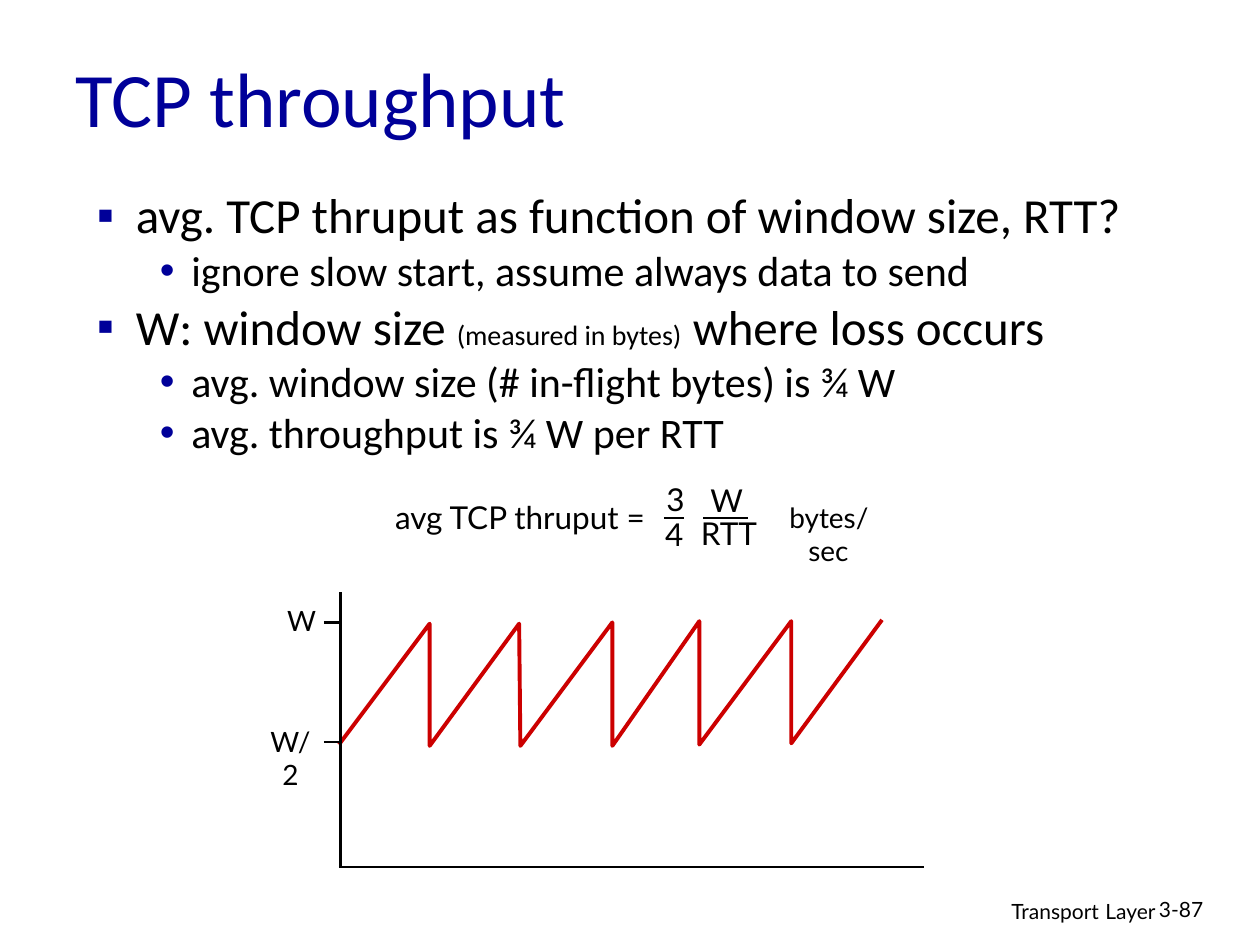
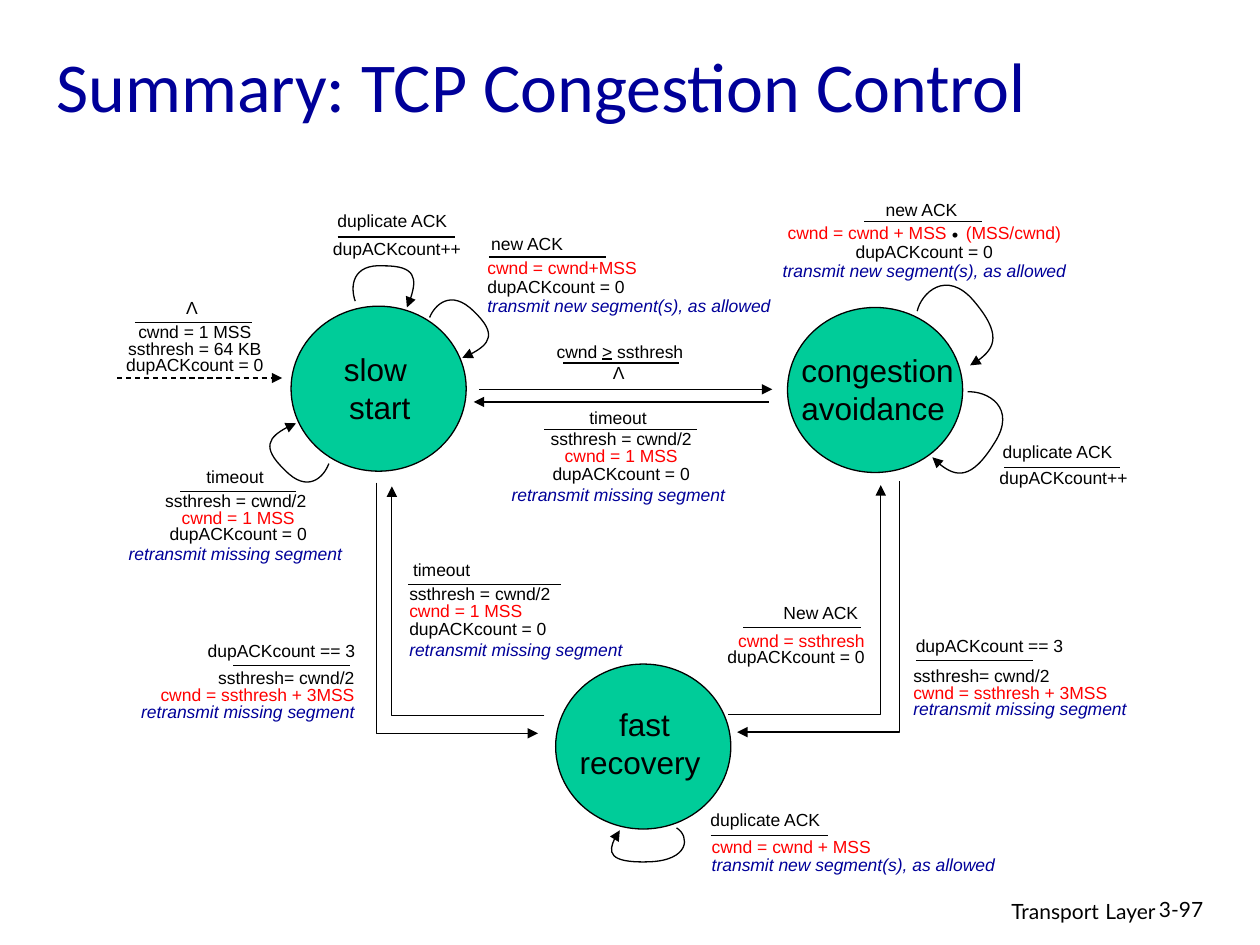
import lxml.etree
import pptx
import pptx.dml.color
import pptx.enum.dml
import pptx.enum.shapes
import pptx.enum.text
import pptx.oxml.ns
import pptx.util

BLACK = pptx.dml.color.RGBColor(0, 0, 0)
BLUE = pptx.dml.color.RGBColor(0, 0, 0x99)
RED = pptx.dml.color.RGBColor(0xFF, 0, 0)
CRIMSON = pptx.dml.color.RGBColor(0xCC, 0, 0)
GREEN = pptx.dml.color.RGBColor(0, 0xCC, 0x99)
LEFT = pptx.enum.text.PP_ALIGN.LEFT
MID = pptx.enum.text.PP_ALIGN.CENTER
RIGHT = pptx.enum.text.PP_ALIGN.RIGHT
INCH = 2.54


def cm(inches):
    return pptx.util.Cm(inches * INCH)


def run(text, color=BLACK, size=10, slant=False, gap=0):
    return text, color, size, slant, gap


HALF = [run("ssthresh = cwnd/2")]
HALVE = [run("ssthresh= cwnd/2")]
RESET = [run("cwnd = 1 MSS", RED)]
ZERO = [run("dupACKcount = 0")]
COUNT = [run("dupACKcount++")]
SEND = [run("transmit new segment(s), as allowed", BLUE, slant=True)]
RETRY = [run("retransmit missing segment", BLUE, slant=True)]
TRIPLE = [HALVE, [run("cwnd = ssthresh + 3MSS", RED)], RETRY]
LOSS = [HALF, RESET, ZERO, RETRY + [run(" ", size=12)]]
LAMBDA = [run("Λ")]


def style(font, look):
    _, color, size, slant, gap = look
    font.size = pptx.util.Pt(size)
    font.color.rgb = color
    font.italic = slant
    if gap:
        font._element.set("spc", str(gap))


def bullet(para, mark, left, hang):
    props = para._p.get_or_add_pPr()
    props.set("marL", str(cm(left)))
    props.set("indent", str(-cm(hang)))
    tint = lxml.etree.SubElement(props, pptx.oxml.ns.qn("a:buClr"))
    lxml.etree.SubElement(tint, pptx.oxml.ns.qn("a:srgbClr"), val=str(BLUE))
    lxml.etree.SubElement(props, pptx.oxml.ns.qn("a:buFont"), typeface="Arial")
    lxml.etree.SubElement(props, pptx.oxml.ns.qn("a:buChar"), char=mark)


def fill(para, runs, face):
    para.font.name = face
    same = len({look[1:] for look in runs}) == 1
    if same:
        style(para.font, runs[0])
    for look in runs:
        part = para.add_run()
        part.text = look[0]
        if not same:
            style(part.font, look)


def frame(slide, box, wrap):
    area = slide.shapes.add_textbox(*map(cm, box)).text_frame
    area.word_wrap = wrap
    return area


def label(slide, box, lines, face, align=LEFT, lead=None, wrap=False):
    area = frame(slide, box, wrap)
    if not wrap:
        area.auto_size = pptx.enum.text.MSO_AUTO_SIZE.SHAPE_TO_FIT_TEXT
    for i, runs in enumerate(lines):
        para = area.add_paragraph() if i else area.paragraphs[0]
        para.alignment = align
        if lead:
            para.line_spacing = lead
        fill(para, runs, face)
    return area


def points(slide, box, items):
    area = frame(slide, box, True)
    for i, (level, runs) in enumerate(items):
        para = area.add_paragraph() if i else area.paragraphs[0]
        para.level = level
        para.line_spacing = 0.85
        if i:
            para.space_before = pptx.util.Pt(0.2 * runs[0][2])
        bullet(para, *(("•", 0.75, 0.25) if level else ("▪", 0.31, 0.31)))
        fill(para, runs, "Calibri")


def page(deck, title, box, size, number):
    slide = deck.slides.add_slide(deck.slide_layouts[6])
    label(slide, (6.1, 7.05, 3.17, 0.31),
          [[run("Transport", size=12), run(" ", size=14), run("Layer", size=12)]],
          "Lato", RIGHT, wrap=True)
    label(slide, (9.1, 7.07, 0.74, 0.3), [[run(number, size=12)]], "Lato", wrap=True)
    head = label(slide, box, [[run(title, BLUE, size)]], "Calibri", wrap=True)
    head.vertical_anchor = pptx.enum.text.MSO_ANCHOR.MIDDLE
    return slide


def ink(line, color, width, arrow=False, dash=False):
    line.color.rgb = color
    line.width = pptx.util.Pt(width)
    if dash:
        line.dash_style = pptx.enum.dml.MSO_LINE.DASH
    if arrow:
        lxml.etree.SubElement(line._get_or_add_ln(), pptx.oxml.ns.qn("a:tailEnd"),
                              type="triangle")


def rule(slide, x, y, right, low, width=0.75, arrow=False, dash=False):
    link = slide.shapes.add_connector(
        pptx.enum.shapes.MSO_CONNECTOR.STRAIGHT, *map(cm, (x, y, right, low)))
    ink(link.line, BLACK, width, arrow, dash)
    lxml.etree.SubElement(link._element.spPr, pptx.oxml.ns.qn("a:effectLst"))


def trace(slide, spots, color=BLACK, width=0.75, arrow=True):
    spots = [(cm(x), cm(y)) for x, y in spots]
    pen = slide.shapes.build_freeform(*spots[0])
    pen.add_line_segments(spots[1:], close=False)
    shape = pen.convert_to_shape()
    shape.shadow.inherit = False
    shape.fill.background()
    ink(shape.line, color, width, arrow)
    return shape


def loop(slide, knots):
    shape = trace(slide, knots)
    legs = list(shape._element.iter(pptx.oxml.ns.qn("a:lnTo")))
    for k in range(0, len(legs), 3):
        curve = lxml.etree.Element(pptx.oxml.ns.qn("a:cubicBezTo"))
        legs[k].addprevious(curve)
        for leg in legs[k:k + 3]:
            curve.append(leg[0])
            leg.getparent().remove(leg)


def state(slide, x, y, lines, box):
    oval = slide.shapes.add_shape(pptx.enum.shapes.MSO_SHAPE.OVAL,
                                  *map(cm, (x, y, 1.39, 1.31)))
    oval.shadow.inherit = False
    oval.fill.solid()
    oval.fill.fore_color.rgb = GREEN
    ink(oval.line, BLACK, 0.75)
    label(slide, box, [[run(text, size=18)] for text in lines], "Arial", MID)


def event(slide, head, spot, bar, lines, box, align=LEFT, lead=0.8):
    x, y, wide = spot
    label(slide, (x, y, wide, 0.27), [[run(head)]], "Arial")
    left, level, right = bar
    rule(slide, left, level, right, level)
    label(slide, box, lines, "Arial", align, lead)


def formula(slide):
    for text, box, size in [
        ("avg TCP thruput = ", (2.99, 3.9, 2.34, 0.4), 18),
        ("3", (5.19, 3.76, 0.34, 0.4), 18),
        ("4", (5.18, 4.04, 0.34, 0.4), 18),
        ("W", (5.54, 3.77, 0.43, 0.4), 18),
        ("RTT", (5.46, 4.03, 0.65, 0.4), 18),
        ("bytes/sec", (6.03, 3.92, 1.09, 0.37), 16),
    ]:
        label(slide, box, [[run(text, size=size)]], "Lato", MID, wrap=text == "bytes/sec")
    for left, right in [(5.27, 5.43), (5.58, 5.94)]:
        rule(slide, left, 4.11, right, 4.11, 1.5)


def sawtooth(slide):
    teeth = [(2.69, 5.91), (3.41, 4.95), (3.41, 5.92), (4.12, 4.95), (4.13, 5.92),
             (4.86, 4.94), (4.86, 5.92), (5.55, 4.93), (5.55, 5.91), (6.28, 4.93),
             (6.28, 5.9), (7, 4.92)]
    trace(slide, teeth, CRIMSON, 2.25, False)
    rule(slide, 2.69, 6.88, 7.33, 6.88, 1.5)
    rule(slide, 2.7, 4.7, 2.7, 6.89, 1.5)
    for y in (4.94, 5.89):
        rule(slide, 2.57, y, 2.69, y, 1.5)
    label(slide, (2.18, 4.74, 0.4, 0.37), [[run("W", size=16)]], "Lato", MID)
    label(slide, (2.02, 5.7, 0.57, 0.37), [[run("W/2", size=16)]], "Lato", MID, wrap=True)


def rates(deck):
    slide = page(deck, "TCP throughput", (0.5, 0.26, 8.5, 1.02), 44, "3-87")
    points(slide, (0.67, 1.49, 9.04, 5.08), [
        (0, [run("avg. TCP thruput as function of window size, RTT?", size=28)]),
        (1, [run("ignore slow start, assume always data to send", size=24)]),
        (0, [run("W: window size ", size=28), run("(measured in bytes)", size=16),
             run(" where loss occurs", size=28)]),
        (1, [run("avg. window size (# in-flight bytes) is ¾ W", size=24)]),
        (1, [run("avg. throughput is ¾ W per RTT", size=24)]),
    ])
    sawtooth(slide)
    formula(slide)


def events(slide):
    growth = [run("cwnd = cwnd + MSS", RED), run(" ", RED, gap=830),
              run("(MSS/cwnd)", RED)]
    for item in [
        ("timeout", (4.58, 3.18, 0.7), (4.32, 3.41, 5.53), LOSS,
         (3.96, 3.37, 1.94, 0.7), MID, 0.85),
        ("cwnd > ssthresh", (4.32, 2.66, 1.2), (4.47, 2.88, 5.39), [LAMBDA],
         (4.76, 2.86, 0.3, 0.23), MID),
        ("new ACK", (6.93, 1.53, 0.78), (6.86, 1.76, 7.79), [growth, ZERO, SEND],
         (6.1, 1.73, 2.47, 0.72), MID, 0.9),
        ("duplicate ACK", (7.86, 3.45, 1.08), (7.97, 3.71, 8.89), [COUNT],
         (7.83, 3.69, 1.22, 0.39), MID),
        ("duplicate ACK", (5.54, 6.37, 1.08), (5.64, 6.63, 6.57),
         [[run("cwnd = cwnd + MSS", RED)], SEND], (5.55, 6.61, 2.45, 0.55), LEFT, 0.85),
        ("dupACKcount == 3", (1.55, 5.03, 1.37), (1.85, 5.28, 2.78), TRIPLE,
         (1.02, 5.28, 1.89, 0.66), RIGHT),
        ("timeout", (3.18, 4.39, 0.7), (3.24, 4.64, 4.45), LOSS,
         (3.15, 4.6, 1.94, 0.7), LEFT, 0.85),
        ("dupACKcount == 3", (7.17, 4.99, 1.37), (7.27, 5.24, 8.2), TRIPLE,
         (7.15, 5.26, 1.89, 0.66)),
        ("New ACK", (6.12, 4.73, 0.8), (5.9, 4.98, 6.83),
         [[run("cwnd = ssthresh", RED)], ZERO], (5.67, 4.98, 1.29, 0.66), RIGHT),
        ("timeout", (1.54, 3.65, 0.7), (1.43, 3.9, 2.35),
         [[run("ssthresh = cwnd/2 ")]] + LOSS[1:], (0.92, 3.87, 1.94, 0.66), MID),
        ("new ACK", (3.8, 1.8, 0.78), (3.88, 2.04, 4.81),
         [[run("cwnd = cwnd+MSS", RED)], ZERO, SEND], (3.77, 2.01, 2.47, 0.72), LEFT, 0.9),
        ("duplicate ACK", (2.58, 1.62, 1.08), (2.68, 1.88, 3.61), [COUNT],
         (2.54, 1.87, 1.22, 0.39), MID),
        ("Λ", (1.38, 2.31, 0.3), (1.07, 2.56, 2),
         [[run("cwnd = 1 MSS")], [run("ssthresh = 64 KB")], ZERO],
         (0.9, 2.53, 1.29, 0.5), MID),
    ]:
        event(slide, *item)
    rule(slide, 4.78, 2.85, 4.86, 2.85)
    label(slide, (7.44, 1.5, 0.28, 0.5), [[run(".", size=24)]], "Times New Roman")


def moves(slide):
    rule(slide, 6.1, 3.19, 3.76, 3.19, arrow=True)
    rule(slide, 3.8, 3.09, 6.13, 3.09, arrow=True)
    rule(slide, 0.93, 3, 2.24, 3, arrow=True, dash=True)
    for elbow in [
        [(2.99, 3.83), (2.99, 5.82), (4.27, 5.82)],
        [(4.32, 5.68), (3.11, 5.68), (3.11, 3.86)],
        [(7.14, 3.82), (7.14, 5.81), (5.85, 5.81)],
        [(5.78, 5.67), (6.99, 5.67), (6.99, 3.85)],
    ]:
        trace(slide, elbow)
    for knots in [
        [(7.28, 2.47), (7.31, 2.33), (7.51, 2.13), (7.73, 2.39),
         (7.95, 2.65), (7.89, 2.8), (7.7, 2.9)],
        [(7.68, 3.11), (7.83, 3.1), (8.08, 3.23), (7.89, 3.52),
         (7.71, 3.81), (7.55, 3.79), (7.4, 3.63)],
        [(5.37, 6.57), (5.48, 6.64), (5.47, 6.83), (5.15, 6.84),
         (4.82, 6.85), (4.82, 6.72), (4.92, 6.59)],
        [(2.82, 2.39), (2.78, 2.28), (2.79, 2.09), (3.05, 2.11),
         (3.3, 2.11), (3.32, 2.24), (3.23, 2.44)],
        [(3.41, 2.52), (3.45, 2.42), (3.58, 2.29), (3.76, 2.47),
         (3.95, 2.65), (3.87, 2.76), (3.67, 2.84)],
        [(2.61, 3.68), (2.57, 3.79), (2.44, 3.92), (2.26, 3.73),
         (2.07, 3.55), (2.15, 3.44), (2.35, 3.36)],
    ]:
        loop(slide, knots)


def control(deck):
    slide = page(deck, "Summary: TCP Congestion Control", (0.35, 0.2, 8.5, 0.94), 40, "3-97")
    state(slide, 2.31, 2.43, ["slow ", "start"], (2.63, 2.73, 0.77, 0.7))
    state(slide, 6.25, 2.44, ["congestion", "avoidance "], (6.26, 2.74, 1.41, 1))
    state(slide, 4.41, 5.27, ["fast", "recovery "], (4.5, 5.55, 1.23, 1))
    moves(slide)
    events(slide)


def main():
    deck = pptx.Presentation()
    deck.slide_width = cm(10)
    deck.slide_height = cm(7.5)
    rates(deck)
    control(deck)
    deck.save("out.pptx")


if __name__ == "__main__":
    main()
